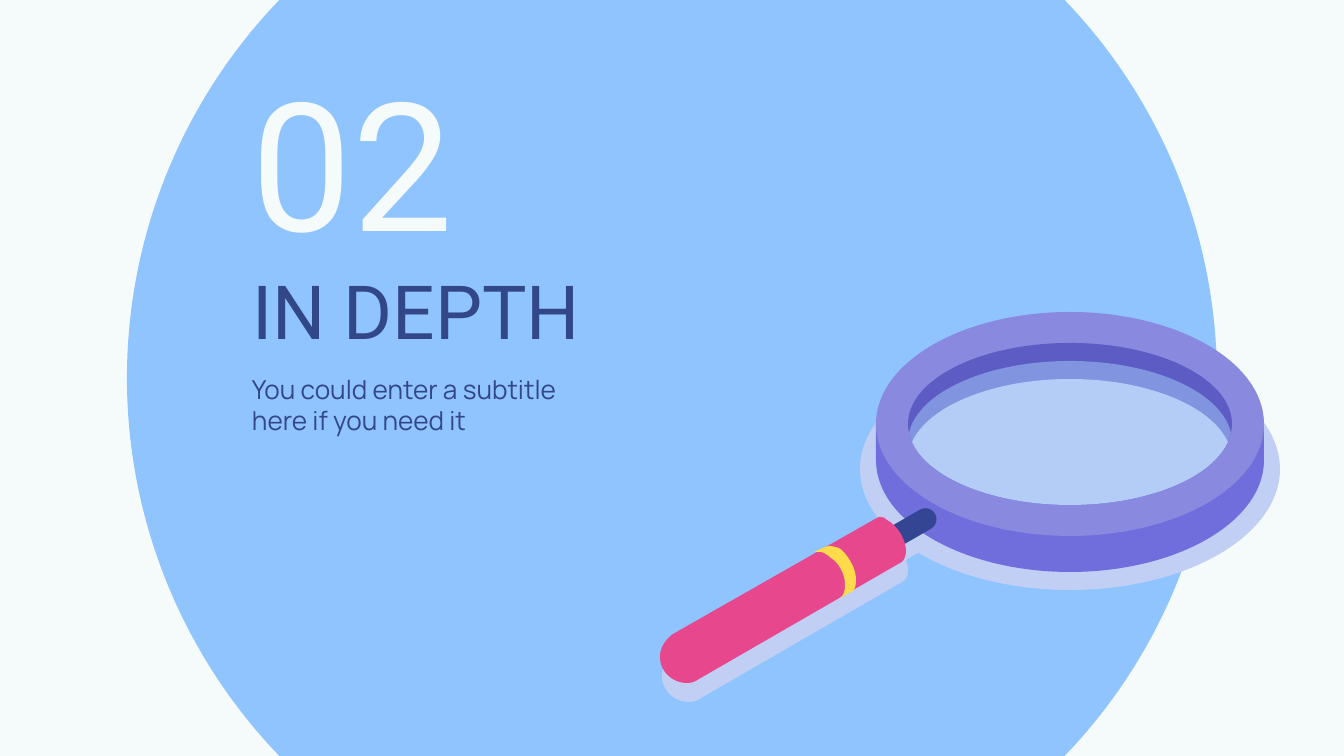
from math import asin, cos, pi, sin

from pptx import Presentation
from pptx.dml.color import RGBColor
from pptx.enum.shapes import MSO_SHAPE as Shape
from pptx.enum.text import MSO_ANCHOR as Anchor, MSO_AUTO_SIZE as AutoSize, PP_ALIGN as Align
from pptx.util import Pt

PX = 914400 / 134.4  # EMU in one px
WIDTH, HEIGHT = 1344, 756

MIST = RGBColor(0xF5, 0xFB, 0xFB)
SKY = RGBColor(0x90, 0xC4, 0xFE)
NAVY = RGBColor(0x32, 0x47, 0x88)
SHADOW = RGBColor(0xC1, 0xCF, 0xF4)
RIM_SIDE = RGBColor(0x70, 0x6E, 0xDC)
RIM_TOP = RGBColor(0x89, 0x89, 0xE0)
RIM_INSIDE = RGBColor(0x5C, 0x5C, 0xC4)
GLASS_EDGE = RGBColor(0x81, 0x94, 0xDF)
GLASS = RGBColor(0xB3, 0xCD, 0xF7)
STEM = RGBColor(0x34, 0x45, 0x93)
PINK = RGBColor(0xE7, 0x47, 0x8D)
YELLOW = RGBColor(0xFF, 0xDB, 0x4C)

# Outlines: a pair is a line's end, three pairs are a curve's controls and end
HANDLE = [
    (879, 517), (875, 519), (673, 634),
    ((665, 640), (660, 648), (660, 657)),
    ((660, 671), (672, 683), (687, 683)),
    ((691, 683), (695, 682), (699, 679)),
    (900, 563),
    ((903, 562), (906, 557), (906, 551)),
    ((906, 540), (898, 526), (887, 520)),
    ((884, 517), (882, 517), (879, 517)),
]
BAND = [
    (829, 546), (825, 547), (814, 552), (821, 552),
    ((823, 552), (828, 555), (831, 558)),
    ((839, 563), (844, 573), (845, 582)),
    ((845, 589), (845, 594), (840, 598)),
    (851, 592),
    ((855, 590), (856, 586), (856, 579)),
    ((856, 569), (848, 554), (839, 548)),
    ((835, 547), (832, 546), (829, 546)),
]
NECK = [(909, 538), (882, 552), (899, 564), (921, 551)]


def emu(px):
    return round(px * PX)


def flatten(outline, steps=16):
    """Turn lines and Bézier curves into points."""
    points = []
    for part in outline:
        if not isinstance(part[0], tuple):
            points.append(part)
            continue
        start = points[-1]
        for step in range(1, steps + 1):
            t = step / steps
            weights = ((1 - t) ** 3, 3 * t * (1 - t) ** 2, 3 * t * t * (1 - t), t ** 3)
            points.append(tuple(sum(w * p[axis] for w, p in zip(weights, (start, *part)))
                                for axis in (0, 1)))
    return points


def lens(cx, cy, rx, ry, drop, steps=64):
    """Overlap of an ellipse with itself moved down by drop."""
    first = asin(drop / 2 / ry)
    angles = [first + (pi - 2 * first) * i / steps for i in range(steps + 1)]
    lower = [(cx + rx * cos(a), cy + ry * sin(a)) for a in angles]
    upper = [(cx + rx * cos(a), cy + drop - ry * sin(a)) for a in reversed(angles)]
    return lower + upper


class SlideBuilder:
    def __init__(self, deck):
        self.slide = deck.slides.add_slide(deck.slide_layouts[5])
        self.slide.background.fill.solid()
        self.slide.background.fill.fore_color.rgb = MIST
        self.shapes = self.slide.shapes

    def start_group(self):
        self.shapes = self.slide.shapes.add_group_shape().shapes

    def paint(self, shape, color):
        shape.shadow.inherit = False
        shape.fill.solid()
        shape.fill.fore_color.rgb = color
        shape.line.fill.background()
        return shape

    def preset(self, kind, left, top, width, height, color):
        box = map(emu, (left, top, width, height))
        return self.paint(self.shapes.add_shape(kind, *box), color)

    def ellipse(self, cx, cy, rx, ry, color):
        return self.preset(Shape.OVAL, cx - rx, cy - ry, 2 * rx, 2 * ry, color)

    def outline(self, points, color, dx=0, dy=0):
        moved = [(emu(x + dx), emu(y + dy)) for x, y in points]
        builder = self.shapes.build_freeform(*moved[0])
        builder.add_line_segments(moved[1:])
        return self.paint(builder.convert_to_shape(), color)

    def set_words(self, holder, words, size, font, color, anchor):
        frame = holder.text_frame
        frame.text = words
        frame.word_wrap = True
        frame.auto_size = AutoSize.NONE
        frame.vertical_anchor = anchor
        frame.margin_left = frame.margin_right = emu(13)
        frame.margin_top = frame.margin_bottom = emu(13)
        paragraph = frame.paragraphs[0]
        paragraph.alignment = Align.LEFT
        paragraph.font.size = Pt(size)
        paragraph.font.name = font
        paragraph.font.color.rgb = color

    def title(self, left, top, width, height, *style):
        holder = self.slide.shapes.title
        holder.left, holder.top, holder.width, holder.height = map(
            emu, (left, top, width, height))
        # Bring the title in front of the backdrop
        self.shapes._spTree.append(holder._element)
        self.set_words(holder, *style)

    def text(self, left, top, width, height, *style):
        box = map(emu, (left, top, width, height))
        self.set_words(self.shapes.add_textbox(*box), *style)


def main():
    deck = Presentation()
    deck.slide_width, deck.slide_height = emu(WIDTH), emu(HEIGHT)
    section = SlideBuilder(deck)

    # Backdrop and wording
    section.ellipse(672, 378, 545, 545, SKY)
    section.title(239, 300, 614, 67, "IN DEPTH", 40, "Roboto", NAVY, Anchor.BOTTOM)
    section.text(239, 360, 376, 85, "You could enter a subtitle here if you need it",
                 14, "Manrope", NAVY, Anchor.TOP)
    section.text(239, 117, 329, 85, "02", 96, "Roboto", MIST, Anchor.MIDDLE)

    # Magnifying glass: shadow
    section.start_group()
    handle = flatten(HANDLE)
    cx, cy, rx, ry, depth = 1070, 424, 194, 112, 36
    section.outline(handle, SHADOW, dx=2, dy=19)
    section.ellipse(cx, 469, 210, 121, SHADOW)
    section.outline(NECK, SHADOW)

    # Rim and glass
    section.ellipse(cx, cy + depth, rx, ry, RIM_SIDE)
    section.preset(Shape.RECTANGLE, cx - rx, cy, 2 * rx, depth, RIM_SIDE)
    section.ellipse(cx, cy, rx, ry, RIM_TOP)
    opening = (cx, cy, 162, 81)
    section.ellipse(*opening, RIM_INSIDE)
    section.outline(lens(*opening, depth / 2), GLASS_EDGE)
    section.outline(lens(*opening, depth), GLASS)

    # Stem and handle
    stem = section.preset(Shape.ROUNDED_RECTANGLE, 852, 525, 89, 22, STEM)
    stem.adjustments[0] = 0.5
    stem.rotation = -30
    section.outline(handle, PINK)
    section.outline(flatten(BAND), YELLOW)

    deck.save("out.pptx")


if __name__ == "__main__":
    main()
